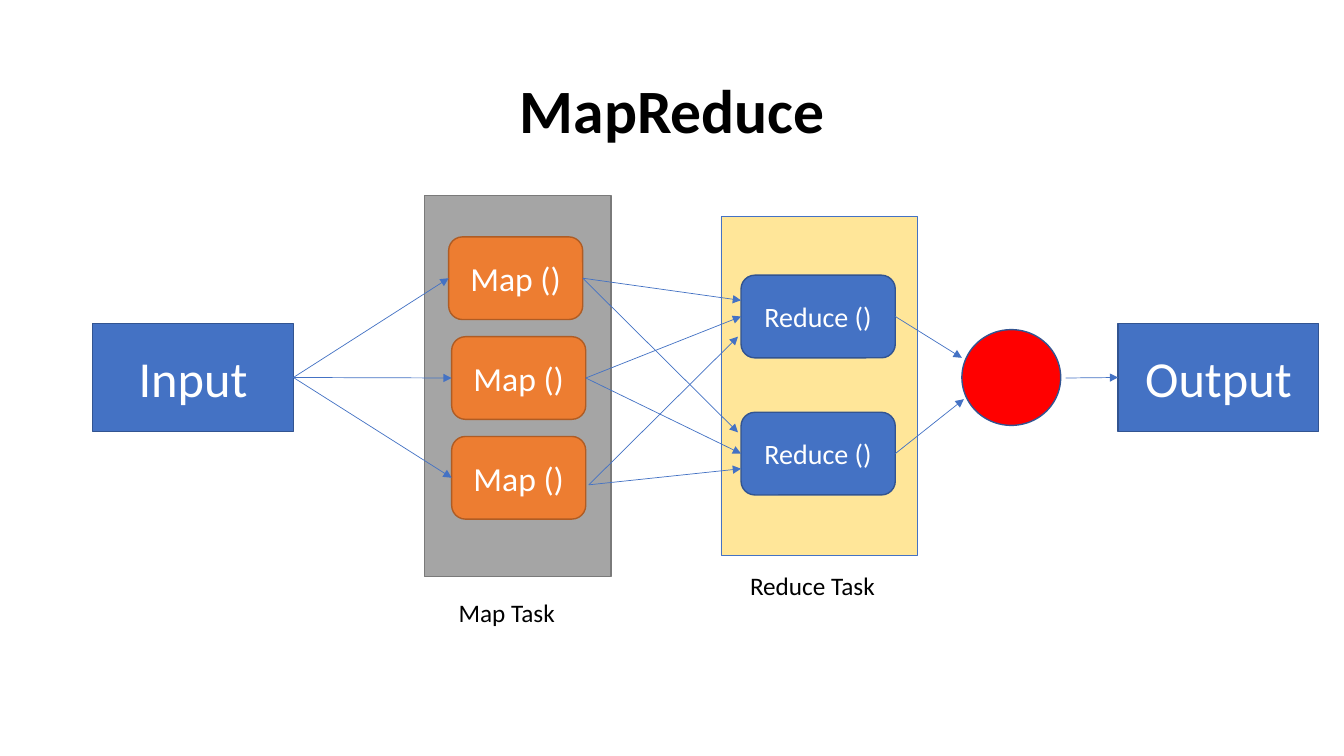
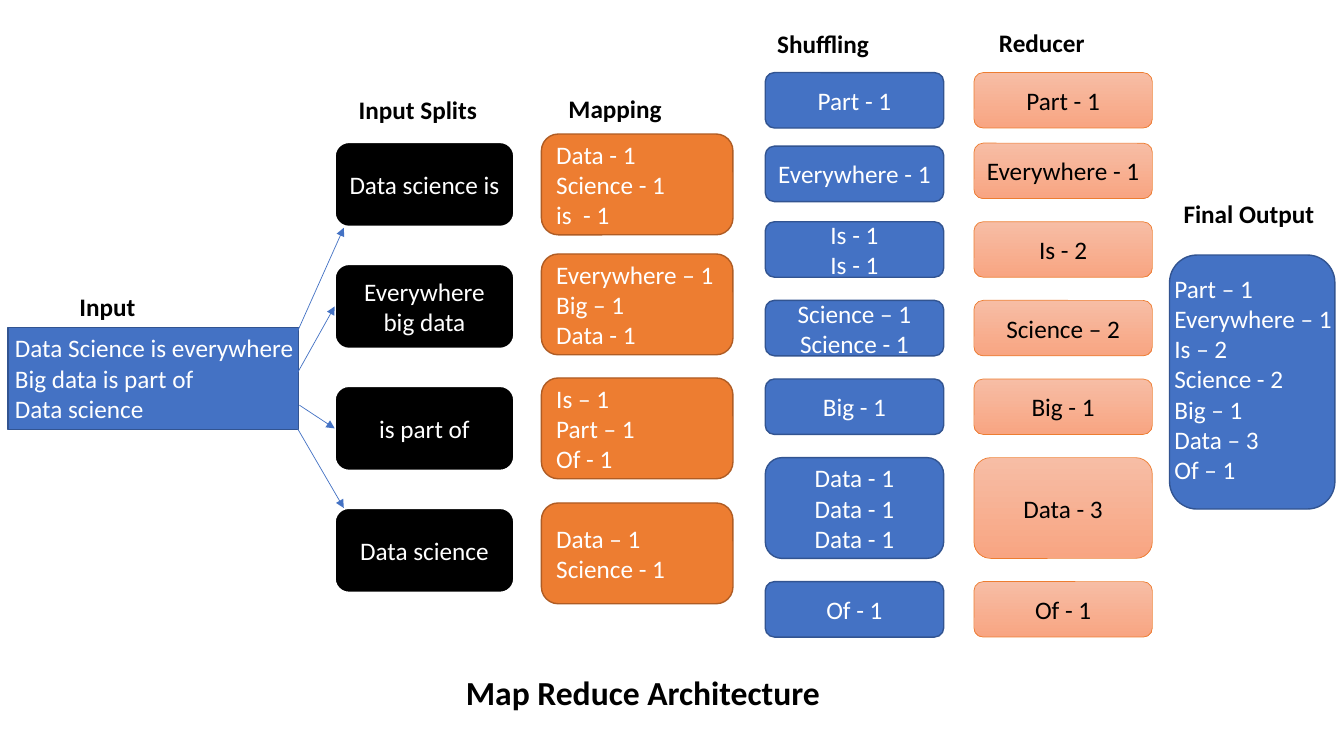
from dataclasses import dataclass
from typing import Optional, Union

from lxml.etree import SubElement
from pptx import Presentation
from pptx.dml.color import RGBColor
from pptx.enum.shapes import MSO_CONNECTOR as Connector, MSO_SHAPE as Preset
from pptx.enum.text import MSO_ANCHOR as Anchor, MSO_AUTO_SIZE as AutoSize, PP_ALIGN as Align
from pptx.oxml.ns import qn
from pptx.shapes.autoshape import Shape
from pptx.slide import Slide
from pptx.text.text import TextFrame
from pptx.util import Inches, Pt

FONT = "Calibri"
COLORS = {
    "black": "000000", "white": "FFFFFF", "red": "FF0000",
    "blue": "4472C4", "blue_edge": "325491",
    "orange": "ED7D31", "orange_edge": "AF5C24",
    "gray": "A5A5A5", "gray_edge": "7A7A7A", "cream": "FFE699",
    "peach_light": "F7BDA5", "peach_dark": "F8A582",
}
TOP, LEFT, BOTTOM, RIGHT = range(4)


@dataclass(frozen=True)
class Area:
    left: float
    top: float
    width: float
    height: float


@dataclass(frozen=True)
class TextStyle:
    size: int = 18
    color: str = "white"
    bold: bool = False
    align: Align = Align.CENTER
    line_spacing: Optional[float] = None


@dataclass(frozen=True)
class BoxStyle:
    fill: tuple[str, ...]
    edge: str
    edge_width: float = 1
    preset: Preset = Preset.ROUNDED_RECTANGLE
    text: TextStyle = TextStyle()


@dataclass(frozen=True)
class Point:
    x: float
    y: float


@dataclass(frozen=True)
class Joint:
    box: Shape
    side: int


@dataclass(frozen=True)
class Arrow:
    start: Union[Point, Joint]
    end: Union[Point, Joint]


@dataclass(frozen=True)
class Column:
    style: BoxStyle
    left: float
    width: float
    rows: tuple[tuple[float, float, str], ...]


CAPTION = TextStyle(color="black", align=Align.LEFT)
HEADING = TextStyle(color="black", bold=True, align=Align.LEFT)
WHITE_LIST = TextStyle(align=Align.LEFT)
BLACK_CENTERED = TextStyle(color="black")

ENDPOINT = BoxStyle(("blue",), "blue_edge", preset=Preset.RECTANGLE, text=TextStyle(36))
MAP_PANEL = BoxStyle(("gray",), "gray_edge", preset=Preset.RECTANGLE)
REDUCE_PANEL = BoxStyle(("cream",), "blue", 0.5, Preset.RECTANGLE)
MAP_CALL = BoxStyle(("orange",), "orange_edge", text=TextStyle(24))
REDUCE_CALL = BoxStyle(("blue",), "blue_edge", text=TextStyle(20))
MERGE_POINT = BoxStyle(("red",), "blue_edge", preset=Preset.OVAL)
SPLIT = BoxStyle(("black",), "white", 1.5)
MAPPING = BoxStyle(("orange",), "orange_edge", text=WHITE_LIST)
SHUFFLE = BoxStyle(("blue",), "blue_edge")
REDUCER = BoxStyle(("peach_light", "peach_dark"), "orange", 0.5, text=BLACK_CENTERED)


def rgb(name: str) -> RGBColor:
    return RGBColor.from_string(COLORS[name])


def place(shape: Shape, area: Area) -> None:
    shape.left, shape.top = Inches(area.left), Inches(area.top)
    shape.width, shape.height = Inches(area.width), Inches(area.height)


def write(frame: TextFrame, text: str, style: TextStyle) -> None:
    frame.word_wrap = True
    frame.text = text
    for para in frame.paragraphs:
        para.alignment = style.align
        para.line_spacing = style.line_spacing
        for span in para.runs:
            span.font.name = FONT
            span.font.size = Pt(style.size)
            span.font.bold = style.bold
            span.font.color.rgb = rgb(style.color)


def add_title(page: Slide, text: str, area: Area, style: TextStyle, anchor: Anchor) -> None:
    title = page.shapes.title
    place(title, area)
    write(title.text_frame, text, style)
    title.text_frame.auto_size = AutoSize.NONE
    title.text_frame.vertical_anchor = anchor


def add_label(page: Slide, text: str, area: Area, style: TextStyle) -> None:
    label = page.shapes.add_textbox(0, 0, 0, 0)
    write(label.text_frame, text, style)
    label.text_frame.auto_size = AutoSize.SHAPE_TO_FIT_TEXT
    place(label, area)


def add_box(page: Slide, area: Area, style: BoxStyle, text: str = "") -> Shape:
    box = page.shapes.add_shape(style.preset, 0, 0, 0, 0)
    place(box, area)
    box.shadow.inherit = False
    if len(style.fill) == 1:
        box.fill.solid()
        box.fill.fore_color.rgb = rgb(style.fill[0])
    else:
        box.fill.gradient()
        box.fill.gradient_angle = 270
        for stop, color in zip(box.fill.gradient_stops, style.fill):
            stop.color.rgb = rgb(color)
    box.line.color.rgb = rgb(style.edge)
    box.line.width = Pt(style.edge_width)
    if text:
        write(box.text_frame, text, style.text)
        box.text_frame.vertical_anchor = Anchor.MIDDLE
    return box


def add_arrow(page: Slide, arrow: Arrow) -> None:
    ends = [Point(0, 0) if isinstance(end, Joint) else end for end in (arrow.start, arrow.end)]
    line = page.shapes.add_connector(
        Connector.STRAIGHT, *(Inches(value) for end in ends for value in (end.x, end.y)))
    if isinstance(arrow.start, Joint):
        line.begin_connect(arrow.start.box, arrow.start.side)
    if isinstance(arrow.end, Joint):
        line.end_connect(arrow.end.box, arrow.end.side)
    line.line.color.rgb = rgb("blue")
    line.line.width = Pt(0.5)
    SubElement(line.line._get_or_add_ln(), qn("a:tailEnd"), type="triangle")
    SubElement(line._element.spPr, qn("a:effectLst"))


def add_column(page: Slide, column: Column) -> list[Shape]:
    return [add_box(page, Area(column.left, top, column.width, height), column.style, text)
            for top, height, text in column.rows]


def build_flow(page: Slide) -> None:
    add_title(page, "MapReduce", Area(0.92, 0.4, 11.5, 1.45),
              TextStyle(44, "black", True, line_spacing=0.9), Anchor.MIDDLE)
    source = add_box(page, Area(0.92, 3.21, 1.99, 1.07), ENDPOINT, "Input")
    add_box(page, Area(4.21, 1.94, 1.85, 3.78), MAP_PANEL)
    maps = [add_box(page, Area(left, 2.35 + 0.99 * row, 1.33, 0.82), MAP_CALL, "Map ()")
            for row, left in enumerate((4.45, 4.48, 4.48))]
    add_box(page, Area(7.15, 2.15, 1.95, 3.36), REDUCE_PANEL)
    reduces = [add_box(page, Area(7.35, 2.73 + 1.36 * row, 1.53, 0.82), REDUCE_CALL, "Reduce ()")
               for row in range(2)]
    add_box(page, Area(9.54, 3.27, 0.98, 0.95), MERGE_POINT)
    output = add_box(page, Area(11.09, 3.21, 1.99, 1.07), ENDPOINT, "Output")

    map_exits = (Joint(maps[0], RIGHT), Joint(maps[1], RIGHT), Point(5.84, 4.81))
    reduce_entries = (
        (Point(7.35, 2.98), Point(7.32, 4.29)),
        (Joint(reduces[0], LEFT), Joint(reduces[1], LEFT)),
        (Point(7.32, 3.34), Point(7.35, 4.65)),
    )
    arrows = [Arrow(Joint(source, RIGHT), Joint(box, LEFT)) for box in maps]
    arrows += [Arrow(start, end)
               for start, entries in zip(map_exits, reduce_entries) for end in entries]
    arrows += [Arrow(Joint(box, RIGHT), end)
               for box, end in zip(reduces, (Point(9.54, 3.55), Point(9.56, 3.96)))]
    arrows.append(Arrow(Point(10.57, 3.75), Joint(output, LEFT)))
    for arrow in arrows:
        add_arrow(page, arrow)

    add_label(page, "Map Task", Area(4.45, 5.88, 1.85, 0.4), CAPTION)
    add_label(page, "Reduce Task", Area(7.34, 5.61, 1.85, 0.4), CAPTION)


def build_architecture(page: Slide) -> None:
    add_title(page, "Map Reduce Architecture", Area(4.52, 6.62, 4.12, 0.5),
              TextStyle(24, "black", True, Align.LEFT), Anchor.TOP)
    add_box(page, Area(0.08, 3.25, 2.88, 1.01), ENDPOINT)
    add_label(page, "Data Science is everywhere\nBig data is part of\nData science",
              Area(0.05, 3.25, 3.06, 1.01), WHITE_LIST)

    split_texts = ("Data science is", "Everywhere big data", "is part of", "Data science")
    splits = add_column(page, Column(SPLIT, 3.32, 1.78, tuple(
        (1.41 + 1.21 * row, 0.84, text) for row, text in enumerate(split_texts))))
    add_column(page, Column(MAPPING, 5.37, 1.9, (
        (1.33, 1, "Data - 1\nScience - 1\nis  - 1"),
        (2.52, 1, "Everywhere – 1\nBig – 1\nData - 1"),
        (3.75, 1, "Is – 1\nPart – 1\nOf - 1"),
        (4.99, 1, "Data – 1\nScience - 1"),
    )))
    add_column(page, Column(SHUFFLE, 7.59, 1.77, (
        (0.72, 0.55, "Part - 1"),
        (1.45, 0.55, "Everywhere - 1"),
        (2.2, 0.55, "Is - 1\nIs - 1"),
        (2.98, 0.55, "Science – 1\nScience - 1"),
        (3.76, 0.55, "Big - 1"),
        (4.54, 1, "Data - 1\nData - 1\nData - 1"),
        (5.77, 0.55, "Of - 1"),
    )))
    add_column(page, Column(REDUCER, 9.66, 1.77, (
        (0.72, 0.55, "Part - 1"),
        (1.42, 0.55, "Everywhere - 1"),
        (2.2, 0.55, "Is - 2"),
        (2.98, 0.55, "Science – 2"),
        (3.76, 0.55, "Big - 1"),
        (4.54, 1, "Data - 3"),
        (5.77, 0.55, "Of - 1"),
    )))

    for text, left, top in (
        ("Input", 0.69, 2.84), ("Input Splits", 3.46, 0.89), ("Mapping", 5.54, 0.88),
        ("Shuffling", 7.61, 0.23), ("Reducer", 9.81, 0.22), ("Final Output", 11.64, 1.92),
    ):
        add_label(page, text, Area(left, top, 1.5, 0.4), HEADING)

    add_box(page, Area(11.6, 2.53, 1.64, 2.52), SHUFFLE)
    add_label(page, "Part – 1\nEverywhere – 1\nIs – 2\nScience - 2\nBig – 1\nData – 3\nOf – 1",
              Area(11.55, 2.66, 2, 2.52), WHITE_LIST)

    for arrow in (
        Arrow(Point(2.95, 3.29), Point(3.41, 2.26)),
        Arrow(Point(2.95, 3.7), Joint(splits[1], LEFT)),
        Arrow(Point(2.97, 4.02), Joint(splits[2], LEFT)),
        Arrow(Point(2.95, 4.25), Point(3.41, 5.04)),
    ):
        add_arrow(page, arrow)


def main() -> None:
    deck = Presentation()
    deck.slide_width, deck.slide_height = Inches(13.33), Inches(7.5)
    title_only = deck.slide_layouts.get_by_name("Title Only")
    for build in (build_flow, build_architecture):
        build(deck.slides.add_slide(title_only))
    deck.save("out.pptx")


if __name__ == "__main__":
    main()
